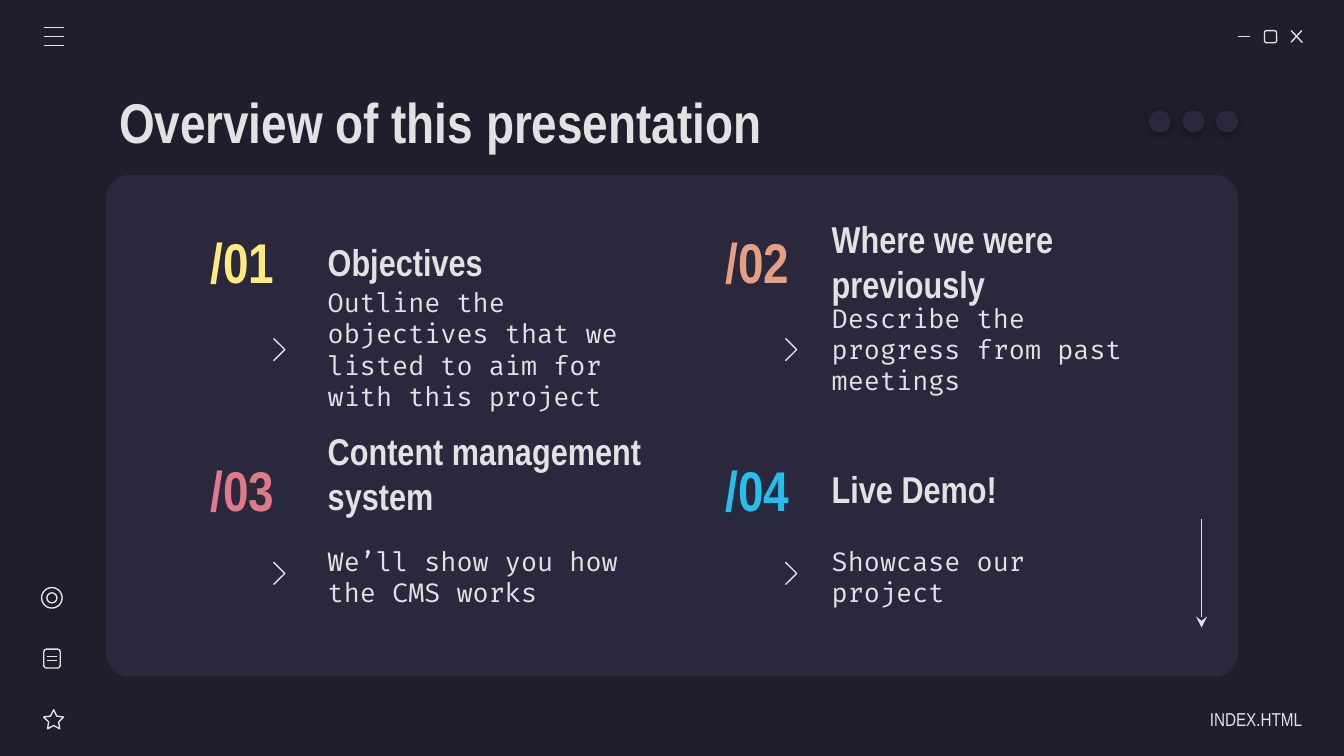
from pptx import Presentation
from pptx.dml.color import RGBColor
from pptx.enum.shapes import MSO_CONNECTOR, MSO_SHAPE
from pptx.enum.text import MSO_ANCHOR, PP_ALIGN
from pptx.oxml import parse_xml
from pptx.oxml.ns import nsdecls
from pptx.oxml.xmlchemy import OxmlElement
from pptx.util import Pt


class Theme:
    background = RGBColor.from_string("1E1E2C")
    panel = RGBColor.from_string("29283D")
    light = RGBColor.from_string("E2E2E2")
    yellow = RGBColor.from_string("FFEA7D")
    orange = RGBColor.from_string("E5A083")
    pink = RGBColor.from_string("E07A88")
    blue = RGBColor.from_string("24BFEB")
    heading_font, body_font = "Arial Narrow", "Fira Code"
    title, heading, body, footer = Pt(30), Pt(20), Pt(14), Pt(10)
    stroke = Pt(0.75)


prs = Presentation()
prs.slide_width, prs.slide_height = Pt(720), Pt(405)
s = prs.slides.add_slide(prs.slide_layouts[6])
s.background.fill.solid()
s.background.fill.fore_color.rgb = Theme.background


def add_text(text, x, y, w, h, size, color=Theme.light, font=Theme.heading_font,
             bold=True, align=PP_ALIGN.LEFT, right=7.2, bottom=7.2):
    tf = s.shapes.add_textbox(Pt(x), Pt(y), Pt(w), Pt(h)).text_frame
    tf.word_wrap = True
    tf.vertical_anchor = MSO_ANCHOR.MIDDLE
    tf.margin_left = tf.margin_top = Pt(7.2)
    tf.margin_right, tf.margin_bottom = Pt(right), Pt(bottom)
    tf.text = text
    for p in tf.paragraphs:
        p.alignment = align
        for r in p.runs:
            r.font.name, r.font.size, r.font.bold = font, size, bold
            r.font.color.rgb = color


def add_line(x1, y1, x2, y2):
    line = s.shapes.add_connector(MSO_CONNECTOR.STRAIGHT, Pt(x1), Pt(y1), Pt(x2), Pt(y2))
    line.line.color.rgb = Theme.light
    line.line.width = Theme.stroke
    line._element.spPr.append(OxmlElement("a:effectLst"))
    return line


# Panel
sp = s.shapes.add_shape(MSO_SHAPE.ROUNDED_RECTANGLE, Pt(56.7), Pt(93.7), Pt(606.6), Pt(268.7))
sp.adjustments[0] = 0.047
sp.shadow.inherit = False
sp.fill.solid()
sp.fill.fore_color.rgb = Theme.panel
sp.line.fill.background()

# Slide title
add_text("Overview of this presentation", 56.7, 42.6, 606.6, 45, Theme.title)

# Agenda: two columns (number, text and chevron lefts) by two rows (heading, chevron tops)
columns = [(97.2, 168.5, 146.6), (373, 438.5, 420.8)]
rows = [(120, 181.3), (242, 301.2)]
items = [
    ("/01", Theme.yellow, "Objectives",
     "Outline the objectives that we listed to aim for with this project"),
    ("/02", Theme.orange, "Where we were previously",
     "Describe the progress from past meetings"),
    ("/03", Theme.pink, "Content management\nsystem",
     "We’ll show you how the CMS works"),
    ("/04", Theme.blue, "Live Demo!", "Showcase our project"),
]
for i, (number, color, heading, body) in enumerate(items):
    number_x, text_x, chevron_x = columns[i % 2]
    y, chevron_y = rows[i // 2]
    add_text(number, number_x, y, 65.5, 40, Theme.title, color, align=PP_ALIGN.CENTER)
    if "\n" in heading:  # the two-line heading sits high in a taller box
        add_text(heading, text_x, y, 209.5, 71.3, Theme.heading, bottom=55.2)
    else:
        add_text(heading, text_x, y, 184.3, 40, Theme.heading)
    add_text(body, text_x, y + 40, 184.3, 54, Theme.body, font=Theme.body_font, bold=False)

    builder = s.shapes.build_freeform(Pt(chevron_x), Pt(chevron_y))
    builder.add_line_segments([(Pt(chevron_x + 6), Pt(chevron_y + 6)),
                               (Pt(chevron_x), Pt(chevron_y + 12))], close=False)
    sp = builder.convert_to_shape()
    sp.shadow.inherit = False
    sp.fill.background()
    sp.line.color.rgb = Theme.light
    sp.line.width = Theme.stroke

# Footer
add_text("INDEX.HTML", 613.4, 374.6, 84.2, 21.6, Theme.footer, bold=False,
         align=PP_ALIGN.RIGHT, right=0)

# Icon strokes: menu, minimise, close and document
for y in (14.8, 19.6, 24.4):
    add_line(23.4, y, 34.2, y)
add_line(663.1, 19.6, 669.6, 19.6)
add_line(691.7, 16.4, 697.7, 22.8)
add_line(697.4, 16.4, 691.7, 22.6)
for y in (351.6, 354):
    add_line(25.4, y, 30.4, y)

# Icon outlines: maximise, target, document and star
outlines = [
    (MSO_SHAPE.ROUNDED_RECTANGLE, 677.4, 16.4, 6.5, 6.5),
    (MSO_SHAPE.OVAL, 22.3, 314.8, 11, 11),
    (MSO_SHAPE.OVAL, 25.1, 317.6, 5.4, 5.4),
    (MSO_SHAPE.ROUNDED_RECTANGLE, 23.5, 347.8, 8.8, 10.1),
    (MSO_SHAPE.STAR_5_POINT, 23.4, 380.3, 10.7, 10.2),
]
for kind, x, y, w, h in outlines:
    sp = s.shapes.add_shape(kind, Pt(x), Pt(y), Pt(w), Pt(h))
    sp.shadow.inherit = False
    sp.fill.background()
    sp.line.color.rgb = Theme.light
    sp.line.width = Theme.stroke
    if kind == MSO_SHAPE.STAR_5_POINT:
        sp.adjustments[0] = 0.25

# Scroll arrow
arrow = add_line(643.7, 278, 643.7, 336.2)
arrow.line._get_or_add_ln().append(
    parse_xml(f'<a:tailEnd {nsdecls("a")} type="stealth"/>'))

# Dots with a soft shadow
for i in range(3):
    sp = s.shapes.add_shape(MSO_SHAPE.OVAL, Pt(615.5 + 18 * i), Pt(59.2), Pt(11.7), Pt(11.7))
    sp.fill.solid()
    sp.fill.fore_color.rgb = Theme.panel
    sp.line.fill.background()
    sp._element.spPr.append(parse_xml(
        f'<a:effectLst {nsdecls("a")}>'
        f'<a:outerShdw blurRad="{Pt(4.5)}" dist="{Pt(1.5)}" dir="5400000" rotWithShape="0">'
        '<a:srgbClr val="000000"><a:alpha val="30000"/></a:srgbClr>'
        '</a:outerShdw></a:effectLst>'))

prs.save("out.pptx")
